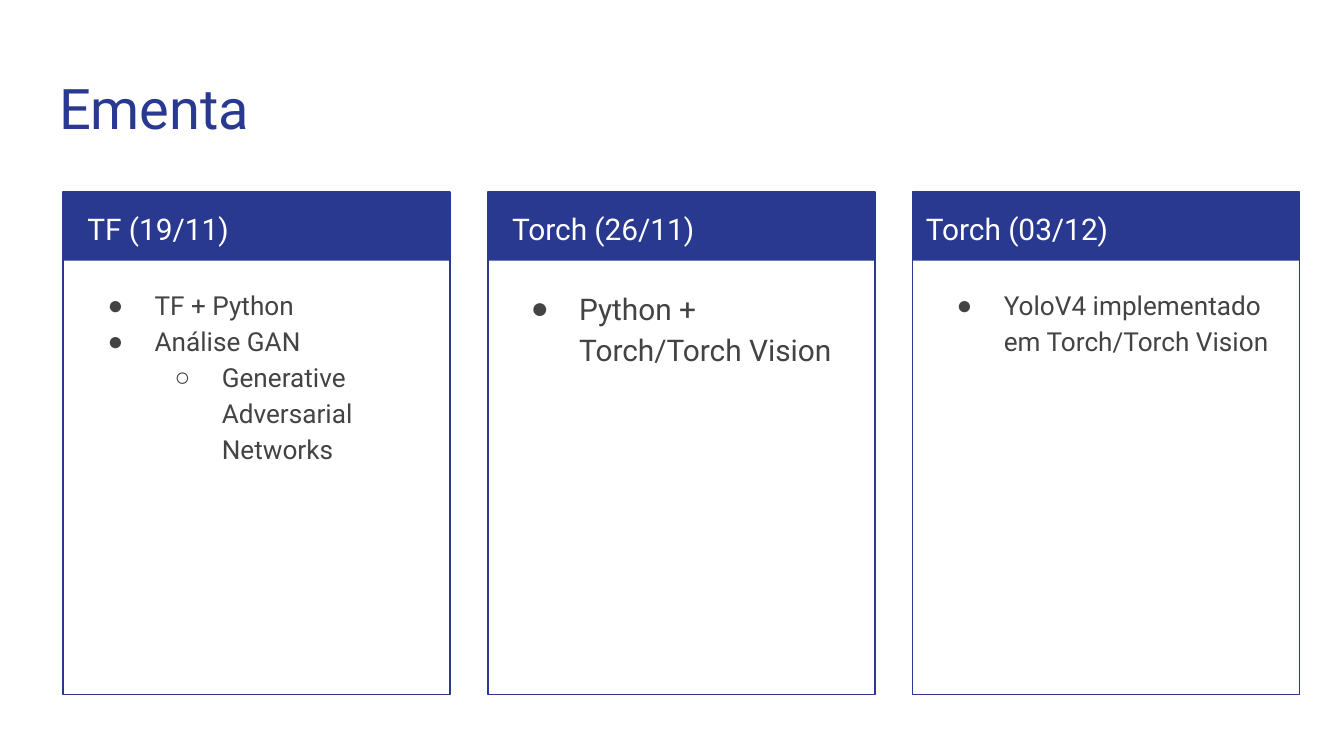
from lxml import etree
from pptx import Presentation
from pptx.dml.color import RGBColor
from pptx.enum import shapes, text
from pptx.oxml.ns import qn
from pptx.util import Inches, Pt

BLUE, WHITE, GRAY = "2A3990", "FFFFFF", "434343"
FONT, BULLET_FONT = "Roboto", "Arial"
TITLE = "Ementa"
# Each topic is (level, wording)
COLUMNS = [
    {"heading": "TF (19/11)", "inset": 0.08, "size": 14,
     "topics": [(0, "TF + Python"), (0, "Análise GAN"),
                (1, "Generative Adversarial Networks")]},
    {"heading": "Torch (26/11)", "inset": 0.08, "size": 16,
     "topics": [(0, "Python + Torch/Torch Vision")]},
    {"heading": "Torch (03/12)", "inset": 0, "size": 14,
     "topics": [(0, "YoloV4 implementado em Torch/Torch Vision")]},
]
LEFT, TOP, PITCH = 0.47, 1.43, 3.16
CARD_W, CARD_H, BAR_H = 2.88, 3.74, 0.51
BULLETS = "●○"


def color(value):
    return RGBColor.from_string(value)


def add_bullet(paragraph, level, size):
    paragraph.level = level
    props = paragraph._p.get_or_add_pPr()
    hanging = 0.36 if size > 14 else 0.35
    props.set("marL", str(Inches(0.5 * (level + 1))))
    props.set("indent", str(-Inches(hanging)))
    tint = etree.SubElement(props, qn("a:buClr"))
    etree.SubElement(tint, qn("a:srgbClr"), val=GRAY)
    etree.SubElement(props, qn("a:buFont"), typeface=BULLET_FONT)
    etree.SubElement(props, qn("a:buChar"), char=BULLETS[level])


def write(holder, box, lines, size, fill, spacing=1.15, bullets=False):
    """Place a text holder in front and fill it with (level, wording) lines."""
    holder.left, holder.top, holder.width, holder.height = map(Inches, box)
    slide.shapes._spTree.append(holder._element)
    frame = holder.text_frame
    frame.word_wrap = True
    frame.auto_size = text.MSO_AUTO_SIZE.NONE
    frame.vertical_anchor = text.MSO_ANCHOR.TOP
    frame.margin_left = frame.margin_right = Inches(0.1)
    frame.margin_top = frame.margin_bottom = Inches(0.1)
    for i, (level, wording) in enumerate(lines):
        paragraph = frame.add_paragraph() if i else frame.paragraphs[0]
        paragraph.alignment = text.PP_ALIGN.LEFT
        paragraph.line_spacing = spacing
        paragraph.space_before = paragraph.space_after = Pt(0)
        if bullets:
            add_bullet(paragraph, level, size)
        run = paragraph.add_run()
        run.text = wording
        run.font.name, run.font.size, run.font.bold = FONT, Pt(size), False
        run.font.color.rgb = color(fill)


def add_rectangle(left, height, fill=None, line=None):
    box = map(Inches, (left, TOP, CARD_W, height))
    rectangle = slide.shapes.add_shape(shapes.MSO_SHAPE.RECTANGLE, *box)
    rectangle.shadow.inherit = False
    if fill:
        rectangle.fill.solid()
        rectangle.fill.fore_color.rgb = color(fill)
    else:
        rectangle.fill.background()
    if line:
        rectangle.line.color.rgb = color(line)
        rectangle.line.width = Pt(0.75)
    else:
        rectangle.line.fill.background()


presentation = Presentation()
presentation.slide_width = Inches(10)
presentation.slide_height = Inches(10 * 9 / 16)
slide = presentation.slides.add_slide(presentation.slide_layouts[4])
title, *bodies = slide.placeholders
write(title, (0.34, 0.45, 9.32, 0.66), [(0, TITLE)], 30, BLUE, spacing=1)


def next_holder():
    """Use the layout's body placeholders first, then text boxes."""
    return bodies.pop(0) if bodies else slide.shapes.add_textbox(0, 0, 0, 0)


for i, column in enumerate(COLUMNS):
    left = LEFT + i * PITCH
    inset = column["inset"]
    add_rectangle(left, BAR_H, fill=BLUE)
    add_rectangle(left, CARD_H, line=BLUE)
    write(next_holder(), (left + inset, TOP, CARD_W - 2 * inset, 0.5),
          [(0, column["heading"])], 16, WHITE)
    write(next_holder(), (left + 0.08, 2.02, 2.71, 3.06),
          column["topics"], column["size"], GRAY, bullets=True)

presentation.save("out.pptx")
